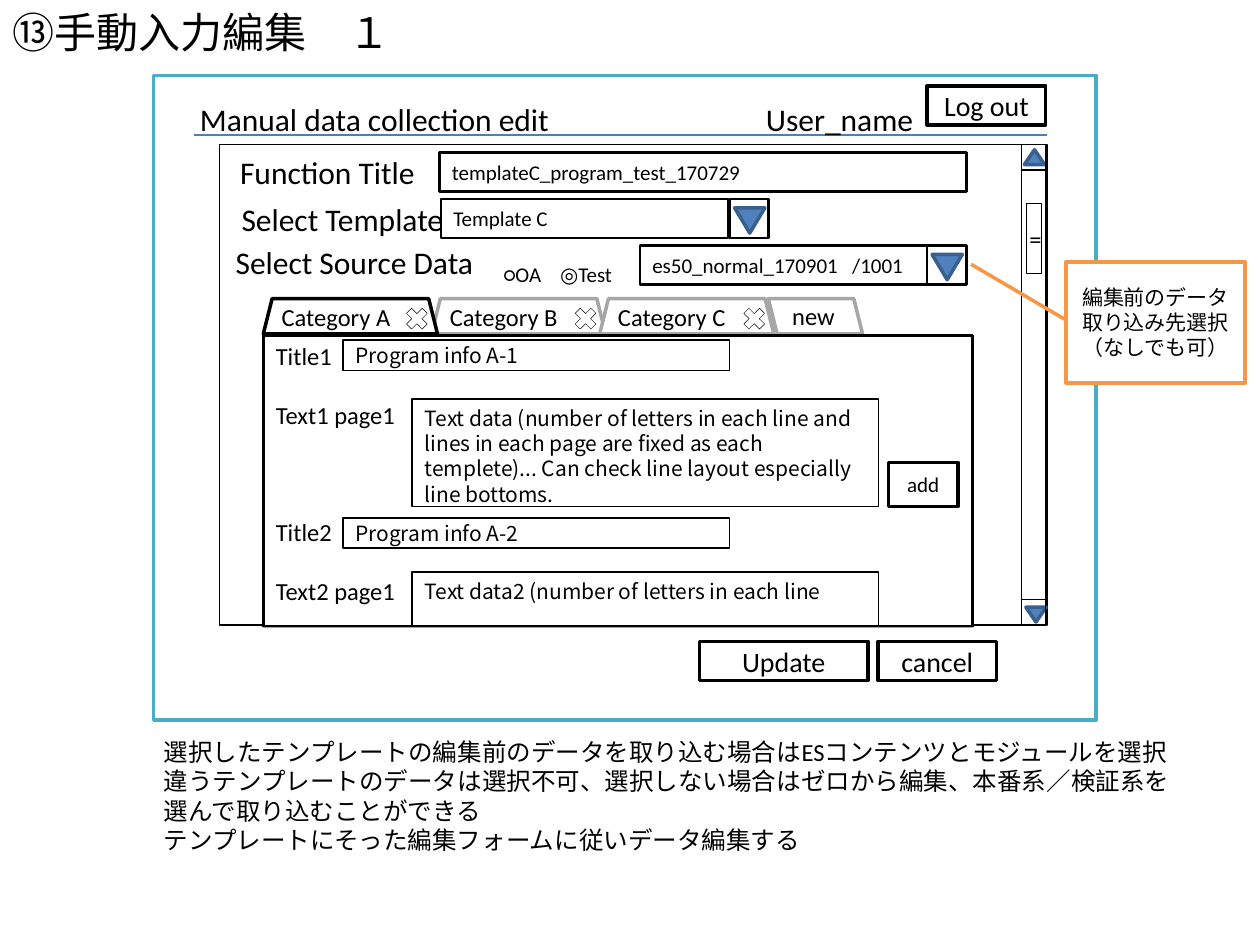
from lxml import etree
from pptx import Presentation
from pptx.dml.color import RGBColor
from pptx.enum.shapes import MSO_CONNECTOR, MSO_SHAPE
from pptx.enum.text import MSO_ANCHOR, PP_ALIGN
from pptx.oxml.ns import qn
from pptx.util import Cm, Pt

RECT = MSO_SHAPE.RECTANGLE
TRIANGLE = MSO_SHAPE.FLOWCHART_MERGE
TRAPEZOID = MSO_SHAPE.TRAPEZOID
SLANT = MSO_SHAPE.PARALLELOGRAM
CROSS = MSO_SHAPE.MATH_MULTIPLY
CALLOUT = MSO_SHAPE.LINE_CALLOUT_1
STRAIGHT = MSO_CONNECTOR.STRAIGHT
TOP, MIDDLE = MSO_ANCHOR.TOP, MSO_ANCHOR.MIDDLE
LEFT, CENTER = PP_ALIGN.LEFT, PP_ALIGN.CENTER

BLACK = RGBColor(0x00, 0x00, 0x00)
WHITE = RGBColor(0xFF, 0xFF, 0xFF)
GRAY = RGBColor(0xA6, 0xA6, 0xA6)
TEAL = RGBColor(0x4B, 0xAC, 0xC6)
ORANGE = RGBColor(0xF7, 0x96, 0x46)
BLUE = RGBColor(0x4F, 0x81, 0xBD)
NAVY = RGBColor(0x3A, 0x5F, 0x8C)
RULE = RGBColor(0x4B, 0x7E, 0xBC)
BODY, DATA = "Calibri", "Noto Sans CJK JP"

prs = Presentation()
prs.slide_width, prs.slide_height = Cm(25.4), Cm(19.05)
s = prs.slides.add_slide(prs.slide_layouts[6])


def add_box(kind, x, y, w, h, width=2, line=BLACK, fill=WHITE):
    sp = s.shapes.add_shape(kind, Cm(x), Cm(y), Cm(w), Cm(h))
    sp.shadow.inherit = False
    if fill is None:
        sp.fill.background()
    else:
        sp.fill.solid()
        sp.fill.fore_color.rgb = fill
    if line is None:
        sp.line.fill.background()
    else:
        sp.line.color.rgb = line
        sp.line.width = Pt(width)
    return sp


def write(sp, text, size, align=LEFT, anchor=MIDDLE, name=BODY, tab=None, wrap=True, **spacing):
    tf = sp.text_frame
    tf.word_wrap, tf.vertical_anchor = wrap, anchor
    for i, words in enumerate(text.split("\n")):
        p = tf.paragraphs[0] if i == 0 else tf.add_paragraph()
        p.alignment = align
        for key, value in spacing.items():
            setattr(p, key, value)
        if tab:
            tabs = etree.SubElement(p._p.get_or_add_pPr(), qn("a:tabLst"))
            etree.SubElement(tabs, qn("a:tab"), pos=str(Cm(tab)), algn="l")
        r = p.add_run()
        r.text = words
        for key, value in {"size": Pt(size), "name": name}.items():
            setattr(r.font, key, value)
        r.font.color.rgb = BLACK
    return tf


add_box(RECT, 3.1, 1.52, 19, 13, 2, TEAL)
cn = s.shapes.add_connector(STRAIGHT, Cm(3.91), Cm(2.72), Cm(21.11), Cm(2.72))
cn.line.color.rgb = RULE
cn.line.width = Pt(0.75)
etree.SubElement(cn._element.spPr, qn("a:effectLst"))

for text, x, y, w, h, size, fmt in [
    ("⑬手動入力編集　１", 0, 0, 25.4, 1.52, 24, {}),
    ("Manual data collection edit", 3.78, 1.52, 7.65, 1.3, 18, {"wrap": False, "line_spacing": 1.5}),
    ("User_name", 15.19, 1.52, 3.51, 1.3, 18, {"wrap": False, "line_spacing": 1.5}),
    ("Function Title", 4.44, 2.97, 14.4, 1.02, 18, {}),
    ("Select Template", 4.47, 3.91, 14.4, 1.02, 18, {}),
    ("Select Source Data", 4.5, 4.78, 14.4, 1.02, 18, {}),
    ("○OA\t◎Test", 9.91, 4.65, 3.89, 1.27, 12, {"tab": 1.13, "line_spacing": Pt(28.5)}),
    ("選択したテンプレートの編集前のデータを取り込む場合はESコンテンツとモジュールを選択\n"
     "違うテンプレートのデータは選択不可、選択しない場合はゼロから編集、本番系／検証系を選んで取り込むことができる\n"
     "テンプレートにそった編集フォームに従いデータ編集する", 3.05, 14.73, 21.06, 2.64, 14, {}),
]:
    tb = s.shapes.add_textbox(Cm(x), Cm(y), Cm(w), Cm(h))
    tf = write(tb, text, size, anchor=TOP, **fmt)
    if text in ("Function Title", "Select Template"):
        tf.margin_left = Cm(0.4)

add_box(RECT, 20.6, 3.38, 0.51, 8.79, 0.75)
for x, y, arrow_x, arrow_y, flip in [(20.6, 2.92, 20.65, 3.02, "1"), (20.6, 12.09, 20.68, 12.24, "0")]:
    add_box(RECT, x, y, 0.51, 0.51, 0.75)
    sp = add_box(TRIANGLE, arrow_x, arrow_y, 0.41, 0.3, 2, NAVY, BLUE)
    sp._element.spPr.xfrm.set("flipV", flip)
write(add_box(RECT, 20.7, 4.11, 0.3, 1.4, 0.75), "=", 14, CENTER)
add_box(RECT, 4.42, 2.92, 16.66, 9.68, 0.75, fill=None)

sp = add_box(CALLOUT, 21.49, 5.28, 3.61, 2.44, 2, ORANGE)
for i, value in enumerate([0.48, 0, 0.02, -0.53]):
    sp.adjustments[i] = value
write(sp, "編集前のデータ取り込み先選択（なしでも可）", 12, CENTER)

for i, letter in [(1, "B"), (2, "C")]:
    write(add_box(TRAPEZOID, 5.31 + 3.39 * i, 6.02, 3.51, 0.71, 2, GRAY), f"Category {letter}", 14)
sp = add_box(SLANT, 15.49, 6.02, 1.9, 0.71, 2, GRAY)
sp._element.spPr.xfrm.set("flipH", "1")
write(sp, "new", 14)
write(add_box(TRAPEZOID, 5.31, 6.02, 3.51, 0.71), "Category A", 14)

sp = add_box(RECT, 5.31, 6.76, 14.3, 5.87)
tf = write(sp, "Title1\nText1 page1\nTitle2\nText2 page1", 14, anchor=TOP)
for p, gap in zip(tf.paragraphs[1:], [16.7, 50, 16.7]):
    p.space_before = Pt(gap)
for i in range(3):
    add_box(CROSS, 8.1 + 3.4 * i, 6.12, 0.61, 0.61, 0.25)

for text, x, y, w, h, anchor in [
    ("Program info A-1", 6.91, 6.86, 7.8, 0.61, MIDDLE),
    ("Text data (number of letters in each line and lines in each page are fixed as each\n"
     "templete)... Can check line layout especially line bottoms.", 8.31, 8.05, 9.4, 2.16, TOP),
    ("Program info A-2", 6.91, 10.44, 7.8, 0.61, MIDDLE),
    ("Text data2 (number of letters in each line", 8.31, 11.53, 9.4, 1.09, TOP),
]:
    write(add_box(RECT, x, y, w, h, 1), text, 12, anchor=anchor, name=DATA)
add_box(RECT, 5.28, 12.65, 14.4, 0.2, line=None)

for text, x, y, w, tab in [
    ("templateC_program_test_170729", 8.86, 3.07, 10.62, None),
    ("Template C", 8.89, 4.01, 5.79, None),
    ("es50_normal_170901\t/1001", 12.9, 4.95, 5.79, 4.03),
]:
    write(add_box(RECT, x, y, w, 0.79, 1.5), text, 12, tab=tab)
for x, y in [(14.71, 4.01), (18.69, 4.95)]:
    add_box(RECT, x, y, 0.79, 0.79, 1.5)
    add_box(TRIANGLE, x + 0.1, y + 0.18, 0.61, 0.51, 2, NAVY, BLUE)

for text, x, y, w, h, size in [
    ("Log out", 18.69, 1.73, 2.39, 0.79, 16),
    ("Update", 14.1, 12.93, 3.4, 0.79, 16),
    ("cancel", 17.7, 12.93, 2.39, 0.79, 16),
    ("add", 17.91, 9.32, 1.4, 0.89, 12),
]:
    write(add_box(RECT, x, y, w, h), text, size, CENTER)

prs.save("out.pptx")
